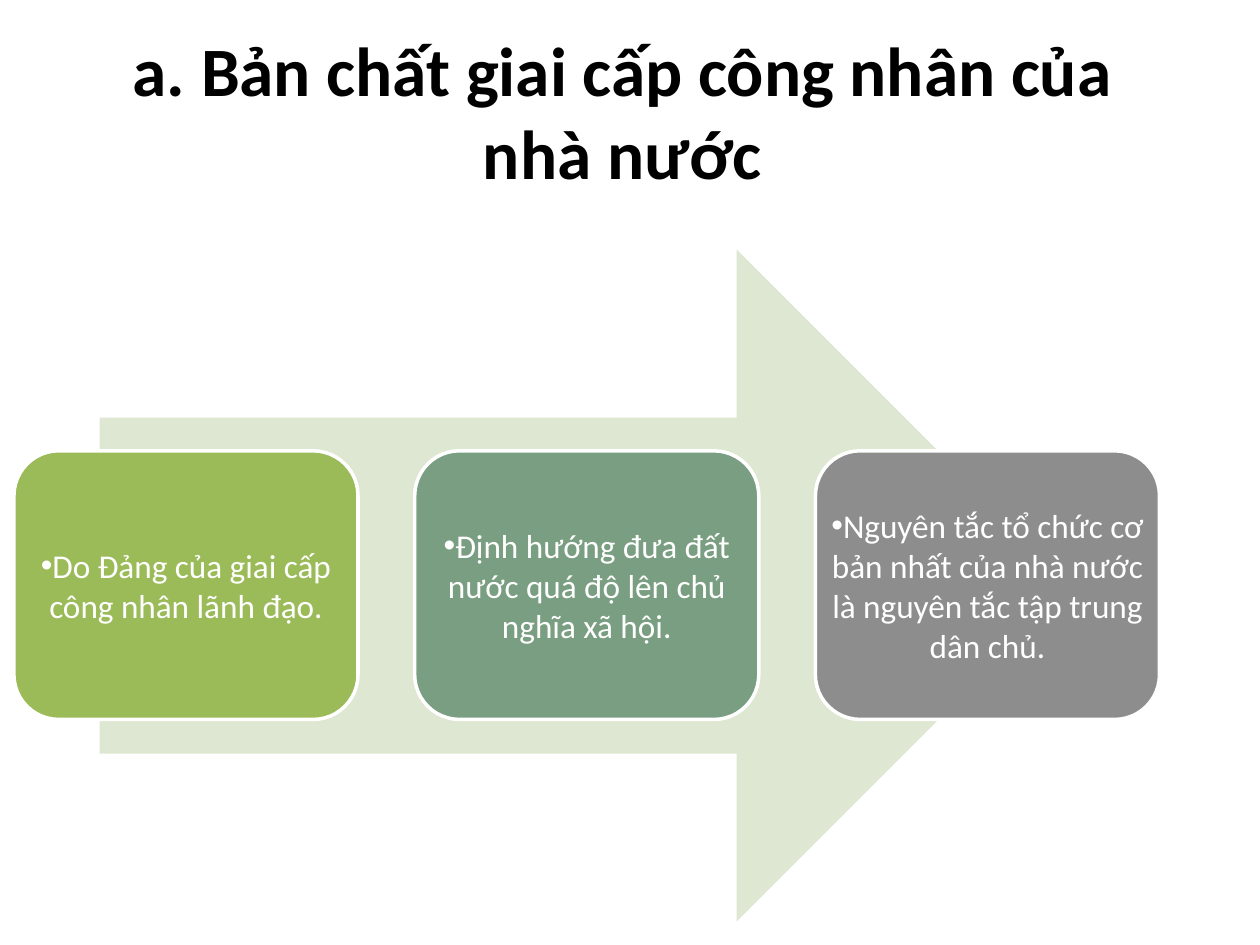
from dataclasses import dataclass

from lxml.etree import SubElement
from pptx import Presentation
from pptx.dml.color import RGBColor
from pptx.enum.shapes import MSO_SHAPE as Preset
from pptx.enum.text import MSO_ANCHOR as Anchor, PP_ALIGN as Align
from pptx.oxml.ns import qn
from pptx.util import Pt


@dataclass(frozen=True)
class Theme:
    font: str = "Calibri"
    title_size: float = 39.6
    card_size: float = 19
    title_color: str = "000000"
    card_text: str = "FFFFFF"
    outline: str = "FFFFFF"
    arrow: str = "DEE7D1"


class SlideBuilder:
    def __init__(self, slide, theme):
        self.slide = slide
        self.theme = theme

    def shape(self, preset, box, fill, outline=None):
        shape = self.slide.shapes.add_shape(preset, *map(Pt, box))
        shape.shadow.inherit = False
        shape.fill.solid()
        shape.fill.fore_color.rgb = RGBColor.from_string(fill)
        if outline:
            shape.line.color.rgb = RGBColor.from_string(outline)
            shape.line.width = Pt(2)
        else:
            shape.line.fill.background()

    def text(self, words, box, size, color, bold=False, inset=6):
        """Add centred text and return its paragraph."""
        frame = self.slide.shapes.add_textbox(*map(Pt, box)).text_frame
        frame.word_wrap = True
        frame.vertical_anchor = Anchor.MIDDLE
        frame.margin_left = frame.margin_right = Pt(inset)
        frame.margin_top = frame.margin_bottom = Pt(inset)
        paragraph = frame.paragraphs[0]
        paragraph.text = words
        paragraph.alignment = Align.CENTER
        for run in paragraph.runs:
            run.font.name = self.theme.font
            run.font.size = Pt(size)
            run.font.bold = bold
            run.font.color.rgb = RGBColor.from_string(color)
        return paragraph

    def title(self, words, box):
        self.text(words, box, self.theme.title_size, self.theme.title_color, bold=True)

    def arrow(self, box):
        self.shape(Preset.RIGHT_ARROW, box, self.theme.arrow)

    def card(self, words, box, fill):
        """Add a rounded box with one bulleted statement."""
        self.shape(Preset.ROUNDED_RECTANGLE, box, fill, self.theme.outline)
        statement = self.text(words, box, self.theme.card_size, self.theme.card_text)
        properties = statement._p.get_or_add_pPr()
        properties.set("marL", "0")
        properties.set("indent", "0")
        SubElement(properties, qn("a:buFont"), typeface="Arial")
        SubElement(properties, qn("a:buChar"), char="•")


PRINCIPLES = [
    ("Do Đảng của giai cấp công nhân lãnh đạo.", "9BBB59"),
    ("Định hướng đưa đất nước quá độ lên chủ nghĩa xã hội.", "799E81"),
    ("Nguyên tắc tổ chức cơ bản nhất của nhà nước là nguyên tắc tập trung dân chủ.",
     "8D8D8D"),
]
CARD_LEFT, CARD_TOP, CARD_WIDTH, CARD_HEIGHT = 8, 257.6, 196.6, 153.5
CARD_STEP = 229


def main():
    presentation = Presentation()
    presentation.slide_width, presentation.slide_height = Pt(720), Pt(540)
    slide = presentation.slides.add_slide(presentation.slide_layouts[6])
    builder = SlideBuilder(slide, Theme())

    builder.title("a. Bản chất giai cấp công nhân của\vnhà nước", (-11.5, 13, 734.5, 100))
    builder.arrow((57, 142.6, 556, 384))
    for index, (words, fill) in enumerate(PRINCIPLES):
        left = CARD_LEFT + index * CARD_STEP
        builder.card(words, (left, CARD_TOP, CARD_WIDTH, CARD_HEIGHT), fill)

    presentation.save("out.pptx")


if __name__ == "__main__":
    main()
